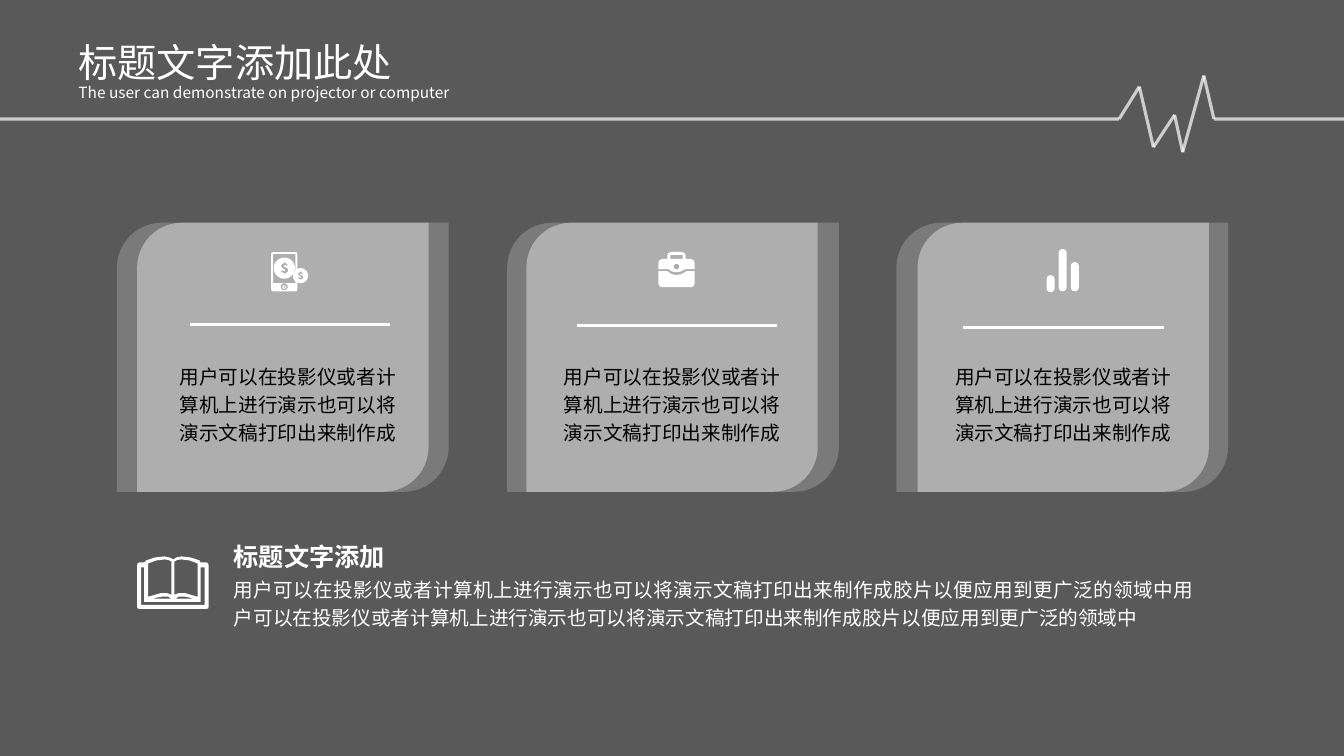
from itertools import pairwise
from math import cos, pi, sin

from lxml import etree
from pptx import Presentation
from pptx import util as u
from pptx.dml.color import RGBColor
from pptx.enum import shapes, text
from pptx.oxml.ns import qn

BACKDROP = RGBColor(0x59, 0x59, 0x59)
WHITE = RGBColor(0xFF, 0xFF, 0xFF)
OFF_WHITE = RGBColor(0xFE, 0xFE, 0xFE)
BLACK = RGBColor(0, 0, 0)
CJK_FONT = "Noto Sans CJK SC"
BODY_FONT = "Arial"


def circle(cx, cy, radius, steps=32):
    return [(cx + radius * cos(2 * pi * i / steps), cy + radius * sin(2 * pi * i / steps))
            for i in range(steps)]


class SlidePainter:
    def __init__(self, slide):
        self.slide = slide
        self.shapes = slide.shapes
        slide.background.fill.solid()
        slide.background.fill.fore_color.rgb = BACKDROP

    @staticmethod
    def paint(fill, colour, opacity=100):
        fill.solid()
        fill.fore_color.rgb = colour
        if opacity < 100:
            # The opacity sits inside the colour element
            srgb = next(fill._xPr.iter(qn("a:srgbClr")))
            etree.SubElement(srgb, qn("a:alpha"), val=str(opacity * 1000))

    def finish(self, shape, colour, opacity=100):
        shape.shadow.inherit = False
        self.paint(shape.fill, colour, opacity)
        shape.line.fill.background()

    def block(self, kind, left, top, width, height, colour=WHITE, opacity=100):
        shape = self.shapes.add_shape(kind, *map(u.Inches, (left, top, width, height)))
        self.finish(shape, colour, opacity)
        return shape

    def line(self, start, end, width, opacity=100):
        rule = self.shapes.add_connector(shapes.MSO_CONNECTOR.STRAIGHT,
                                         *map(u.Inches, start + end))
        rule.line.width = u.Pt(width)
        self.paint(rule.line.fill, WHITE, opacity)
        etree.SubElement(rule._element.spPr, qn("a:effectLst"))

    def outline(self, *contours, colour=WHITE):
        """Filled outline with holes; points are hundredths of an inch."""
        scaled = [[(u.Inches(x / 100), u.Inches(y / 100)) for x, y in contour]
                  for contour in contours]
        builder = self.shapes.build_freeform(*scaled[0][0])
        for index, contour in enumerate(scaled):
            if index:
                builder.move_to(*contour[0])
            builder.add_line_segments(contour[1:], close=True)
        self.finish(builder.convert_to_shape(), colour)

    def words(self, content, left, top, width, height, size, colour=WHITE,
              font=BODY_FONT, align=text.PP_ALIGN.LEFT, spacing=1.0, bold=False):
        box = self.shapes.add_textbox(*map(u.Inches, (left, top, width, height)))
        frame = box.text_frame
        frame.word_wrap = True
        frame.auto_size = text.MSO_AUTO_SIZE.SHAPE_TO_FIT_TEXT
        frame.text = content
        paragraph = frame.paragraphs[0]
        paragraph.alignment = align
        paragraph.line_spacing = spacing
        run = paragraph.runs[0]
        run.font.size = u.Pt(size)
        run.font.bold = bold
        run.font.name = font
        run.font.color.rgb = colour
        etree.SubElement(run._r.get_or_add_rPr(), qn("a:ea"), typeface=CJK_FONT)

    def card(self, back_left, front_left, rule_left, rule_top, text_left):
        for left, width, opacity in ((back_left, 3.29, 20), (front_left, 2.89, 40)):
            self.block(shapes.MSO_SHAPE.ROUND_2_DIAG_RECTANGLE, left, 2.21, width, 2.67,
                       OFF_WHITE, opacity)
        self.line((rule_left, rule_top), (rule_left + 1.99, rule_top), 1.75)
        self.words("用户可以在投影仪或者计算机上进行演示也可以将演示文稿打印出来制作成",
                   text_left, 3.52, 2.39, 0.95, 14, BLACK,
                   align=text.PP_ALIGN.CENTER, spacing=1.2)

    def coin(self, cx, cy, radius):
        dollar = [(1, 5), (1, 6), (0, 6), (0, 5), (-3, 4), (-3, 2), (0, 3), (1, 2), (0, 1),
                  (-2.5, -0.5), (-3, -2), (-2.5, -4), (0, -5), (0, -6), (1, -6), (1, -5),
                  (3, -4), (3, -2), (1, -3), (-1, -2), (1, -1), (3.5, 0.5), (4, 2), (3, 4)]
        scale = radius / 10.5
        self.outline(circle(cx, cy, radius),
                     [(cx + x * scale, cy + y * scale) for x, y in dollar])

    def phone_icon(self):
        self.outline([(282.5, 283), (284, 284), (284, 285.5), (282, 287), (280, 285.5),
                      (280, 284), (281, 283), (281, 284), (281, 285.5), (282, 286),
                      (283, 285.5), (283, 284)])
        self.block(shapes.MSO_SHAPE.RECTANGLE, 2.81, 2.83, 0.01, 0.03)
        self.coin(282, 266, 10.5)
        self.outline([(293, 281), (271, 281), (271, 252), (293, 252), (293, 268), (295, 266),
                      (295, 252), (294.5, 250.5), (293, 250), (271, 250), (269.5, 250.5),
                      (269, 252), (269, 287), (269.5, 288.5), (271, 289), (293, 289),
                      (294.5, 288.5), (295, 287), (295, 280), (293, 279)],
                     circle(282, 284.5, 3.5))
        self.coin(298, 273.5, 7.5)

    def briefcase_icon(self):
        self.outline([(671, 273), (666, 272), (662, 269), (653, 269), (653, 281),
                      (654, 284), (657, 285), (685, 285), (688, 284), (689, 281),
                      (689, 269), (681, 269), (676, 272)])
        self.outline([(685, 257), (680, 257), (680, 253), (679, 251), (676, 250), (666, 250),
                      (663, 251), (662, 253), (662, 257), (657, 257), (654, 258), (653, 261),
                      (653, 267), (663, 267), (667, 269.5), (671, 270), (675, 269.5),
                      (680, 267), (689, 267), (689, 261), (688, 258)],
                     [(665, 257), (665, 253), (677, 253), (677, 257)],
                     circle(671, 264.5, 2.75))

    def bars_icon(self):
        for left, top, height in ((10.38, 2.73, 0.17), (10.5, 2.47, 0.42), (10.62, 2.6, 0.29)):
            bar = self.block(shapes.MSO_SHAPE.ROUNDED_RECTANGLE, left, top, 0.08, height)
            bar.adjustments[0] = 0.5

    def book_icon(self):
        self.outline(
            [(205, 558), (199, 558), (198, 556), (189, 553), (180, 552), (175, 553), (172, 555),
             (168, 553), (163, 552), (154, 553), (145, 556), (143, 558), (138, 558),
             (136.5, 559), (136, 561), (136, 602), (136.5, 603.5), (138, 604), (205, 604),
             (206.5, 603.5), (207, 602), (207, 561), (206.5, 559)],
            [(196, 559), (196, 592), (184, 588.5), (177, 588.5), (173, 590), (173, 557),
             (176, 555.5), (180, 555), (188, 556)],
            [(193, 594), (174, 594), (177, 592), (184, 592)],
            [(163, 555), (167, 555.5), (170, 557), (170, 590), (166, 588.5), (159, 588.5),
             (147, 592), (147, 559), (155, 556)],
            [(170, 594), (150, 594), (160, 592), (167, 592)],
            [(203, 600), (140, 600), (140, 563), (143, 563), (143, 597), (199, 597),
             (199, 563), (203, 563)],
            colour=OFF_WHITE)


def main():
    deck = Presentation()
    deck.slide_width, deck.slide_height = u.Inches(13.33), u.Inches(7.5)
    painter = SlidePainter(deck.slides.add_slide(deck.slide_layouts[6]))

    # Heartbeat line
    pulse = [(0, 1.18), (11.1, 1.18), (11.3, 0.86), (11.44, 1.46), (11.65, 1.14),
             (11.73, 1.51), (11.94, 0.75), (12.04, 1.18), (13.33, 1.18)]
    for start, end in pairwise(pulse):
        painter.line(start, end, 2.25, 70)

    # Heading
    painter.words("标题文字添加此处", 0.68, 0.33, 3.88, 0.57, 28, font=CJK_FONT)
    painter.words("The user can demonstrate on projector or computer",
                  0.68, 0.75, 4.35, 0.3, 11, font=CJK_FONT, spacing=1.14)

    # Cards with their icons
    painter.card(1.16, 1.36, 1.88, 3.22, 1.66)
    painter.phone_icon()
    painter.card(5.03, 5.22, 5.72, 3.23, 5.47)
    painter.briefcase_icon()
    painter.card(8.89, 9.1, 9.55, 3.25, 9.35)
    painter.bars_icon()

    # Summary
    painter.book_icon()
    sentence = "用户可以在投影仪或者计算机上进行演示也可以将演示文稿打印出来制作成胶片以便应用到更广泛的领域中"
    painter.words(sentence * 2, 2.22, 5.64, 9.72, 0.67, 14,
                  align=text.PP_ALIGN.JUSTIFY, spacing=1.2)
    painter.words("标题文字添加", 2.22, 5.26, 2.45, 0.44, 18,
                  align=text.PP_ALIGN.JUSTIFY, spacing=1.2, bold=True)

    deck.save("out.pptx")


if __name__ == "__main__":
    main()
